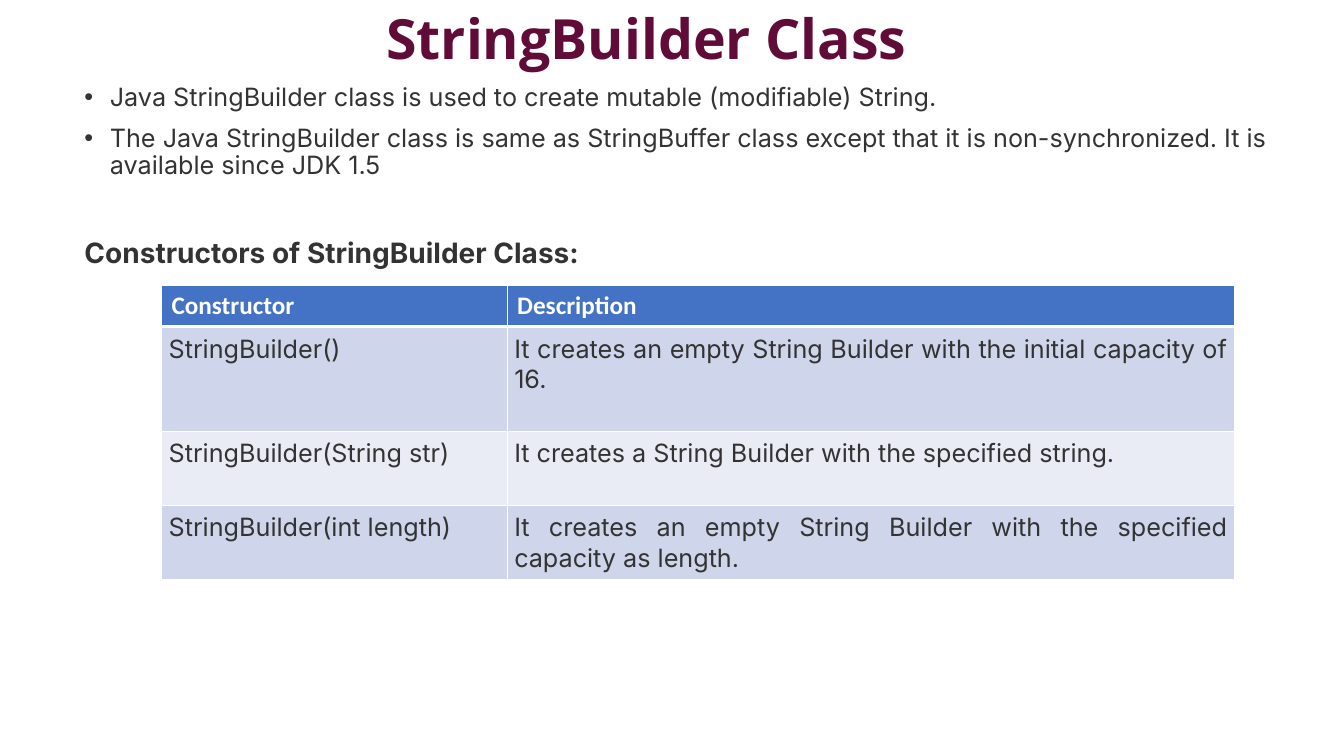
from lxml import etree
from pptx import Presentation
from pptx.dml.color import RGBColor
from pptx.enum.text import MSO_ANCHOR, MSO_AUTO_SIZE, PP_ALIGN
from pptx.oxml.ns import qn
from pptx.util import Cm, Pt

CENTER, JUSTIFY, LEFT = PP_ALIGN.CENTER, PP_ALIGN.JUSTIFY, PP_ALIGN.LEFT
MIDDLE = MSO_ANCHOR.MIDDLE
NO_AUTOFIT = MSO_AUTO_SIZE.NONE

TITLE_ONLY_LAYOUT = 5
BODY_FONT = "Inter"
TEXT_COLOR = "333333"
WHITE = "FFFFFF"
HEADER_FILL = "4472C4"
BAND_FILLS = ("CFD5EA", "E9EBF5")

BULLETS = (
    "Java StringBuilder class is used to create mutable (modifiable) String.",
    "The Java StringBuilder class is same as StringBuffer class except that it is "
    "non-synchronized. It is available since JDK 1.5",
)
CONSTRUCTORS = (
    ("Constructor", "Description"),
    ("StringBuilder()",
     "It creates an empty String Builder with the initial capacity of 16."),
    ("StringBuilder(String str)",
     "It creates a String Builder with the specified string."),
    ("StringBuilder(int length)",
     "It creates an empty String Builder with the specified capacity as length."),
)
COLUMN_WIDTHS = (8.71, 18.34)
ROW_HEIGHTS = (1.04, 2.64, 1.86, 1.86)


def color(hex_string):
    return RGBColor.from_string(hex_string)


def add_run(paragraph, text, size, font=BODY_FONT, hex_color=TEXT_COLOR, bold=False):
    run = paragraph.add_run()
    run.text = text
    run.font.name = font
    run.font.size = Pt(size)
    run.font.bold = bold
    run.font.color.rgb = color(hex_color)


def set_bullet(paragraph, indent):
    """Give the paragraph a round bullet that hangs in the indent."""
    properties = paragraph._p.get_or_add_pPr()
    properties.set("marL", str(indent))
    properties.set("indent", str(-indent))
    etree.SubElement(properties, qn("a:buFont"), typeface="Arial")
    etree.SubElement(properties, qn("a:buChar"), char="•")


def set_title(slide, text):
    title = slide.shapes.title
    title.left, title.top, title.width, title.height = Cm(1.09), Cm(0.1), Cm(30.4), Cm(1.88)
    frame = title.text_frame
    frame.auto_size = NO_AUTOFIT
    frame.vertical_anchor = MIDDLE
    paragraph = frame.paragraphs[0]
    paragraph.alignment = CENTER
    paragraph.line_spacing = 0.9
    add_run(paragraph, text, 39.6, "Open Sans", "610B38", True)


def add_body(slide, bullets, heading):
    box = slide.shapes.add_textbox(Cm(1.88), Cm(2.01), Cm(31.47), Cm(4.78))
    frame = box.text_frame
    frame.word_wrap = True
    for index, text in enumerate(bullets):
        paragraph = frame.add_paragraph() if index else frame.paragraphs[0]
        paragraph.line_spacing = 0.9
        paragraph.space_before = Pt(10)
        set_bullet(paragraph, Cm(0.64))
        add_run(paragraph, text, 18)
    paragraph = frame.add_paragraph()
    paragraph.alignment = JUSTIFY
    paragraph.line_spacing = 0.9
    paragraph.space_before = Pt(42)
    add_run(paragraph, heading, 20, bold=True)


def set_borders(cell, **widths):
    """Draw white borders; widths maps the sides L, R, T and B to points."""
    properties = cell._tc.get_or_add_tcPr()
    for side, width in widths.items():
        line = etree.SubElement(properties, qn(f"a:ln{side}"), w=str(Pt(width)))
        fill = etree.SubElement(line, qn("a:solidFill"))
        etree.SubElement(fill, qn("a:srgbClr"), val=WHITE)


def fill_cell(cell, text, row_index):
    is_header = row_index == 0
    set_borders(cell, L=1, R=1, T=3 if row_index == 1 else 1, B=3 if is_header else 1)
    cell.fill.solid()
    paragraph = cell.text_frame.paragraphs[0]
    if is_header:
        cell.fill.fore_color.rgb = color(HEADER_FILL)
        paragraph.alignment = LEFT
        add_run(paragraph, text, 18, "Calibri", WHITE, True)
    else:
        cell.fill.fore_color.rgb = color(BAND_FILLS[(row_index - 1) % 2])
        cell.margin_left = cell.margin_right = Cm(0.18)
        cell.margin_top = cell.margin_bottom = Cm(0.18)
        paragraph.alignment = JUSTIFY
        add_run(paragraph, text, 18)


def add_constructor_table(slide, rows):
    frame = slide.shapes.add_table(
        len(rows), len(COLUMN_WIDTHS), Cm(4.07), Cm(7.19),
        Cm(sum(COLUMN_WIDTHS)), Cm(sum(ROW_HEIGHTS)))
    table = frame.table
    for column, width in zip(table.columns, COLUMN_WIDTHS):
        column.width = Cm(width)
    for row_index, texts in enumerate(rows):
        table.rows[row_index].height = Cm(ROW_HEIGHTS[row_index])
        for column_index, text in enumerate(texts):
            fill_cell(table.cell(row_index, column_index), text, row_index)


def main():
    presentation = Presentation()
    presentation.slide_width = Cm(33.87)
    presentation.slide_height = Cm(19.05)
    slide = presentation.slides.add_slide(presentation.slide_layouts[TITLE_ONLY_LAYOUT])
    set_title(slide, "StringBuilder Class")
    add_body(slide, BULLETS, "Constructors of StringBuilder Class:")
    add_constructor_table(slide, CONSTRUCTORS)
    presentation.save("out.pptx")


if __name__ == "__main__":
    main()
